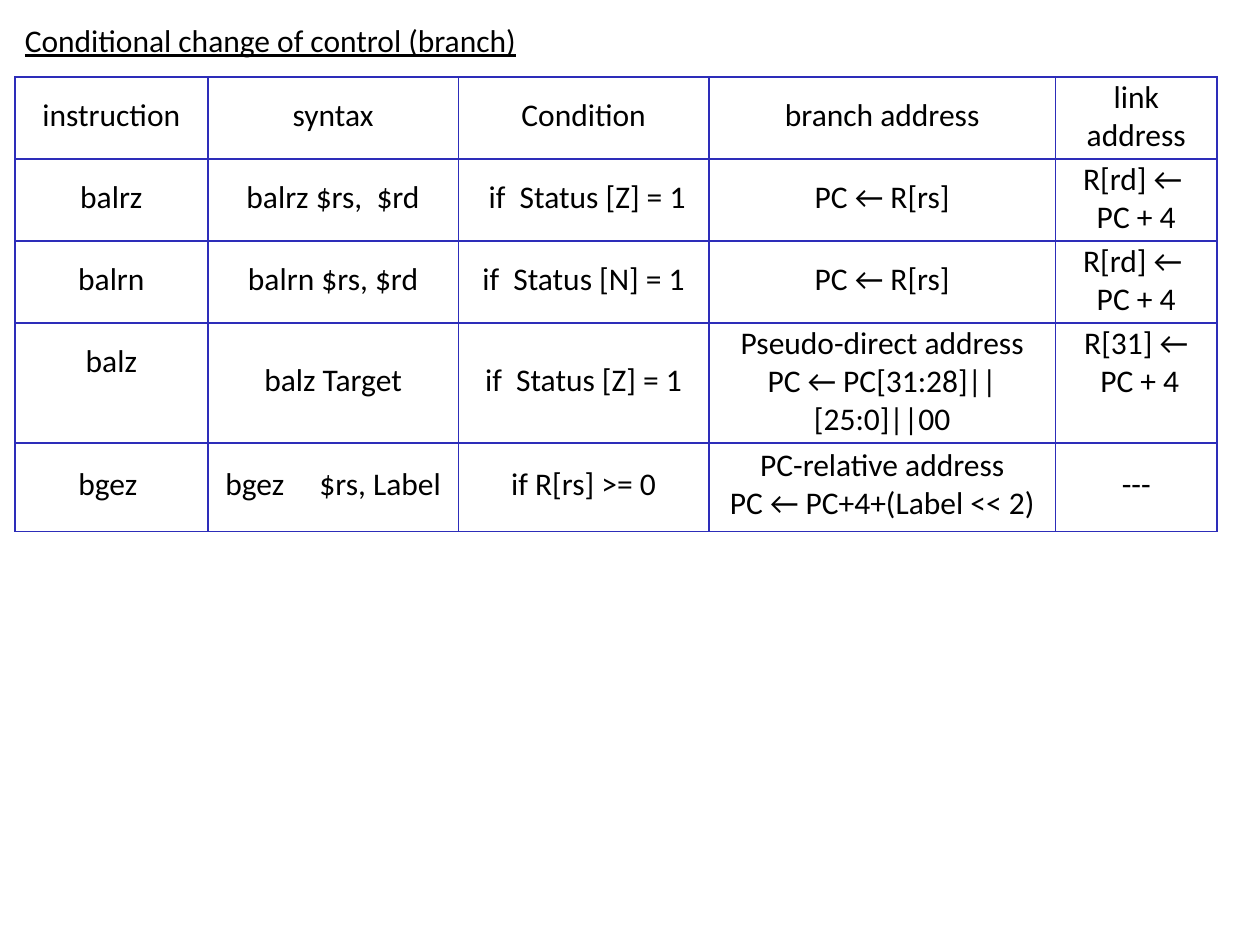
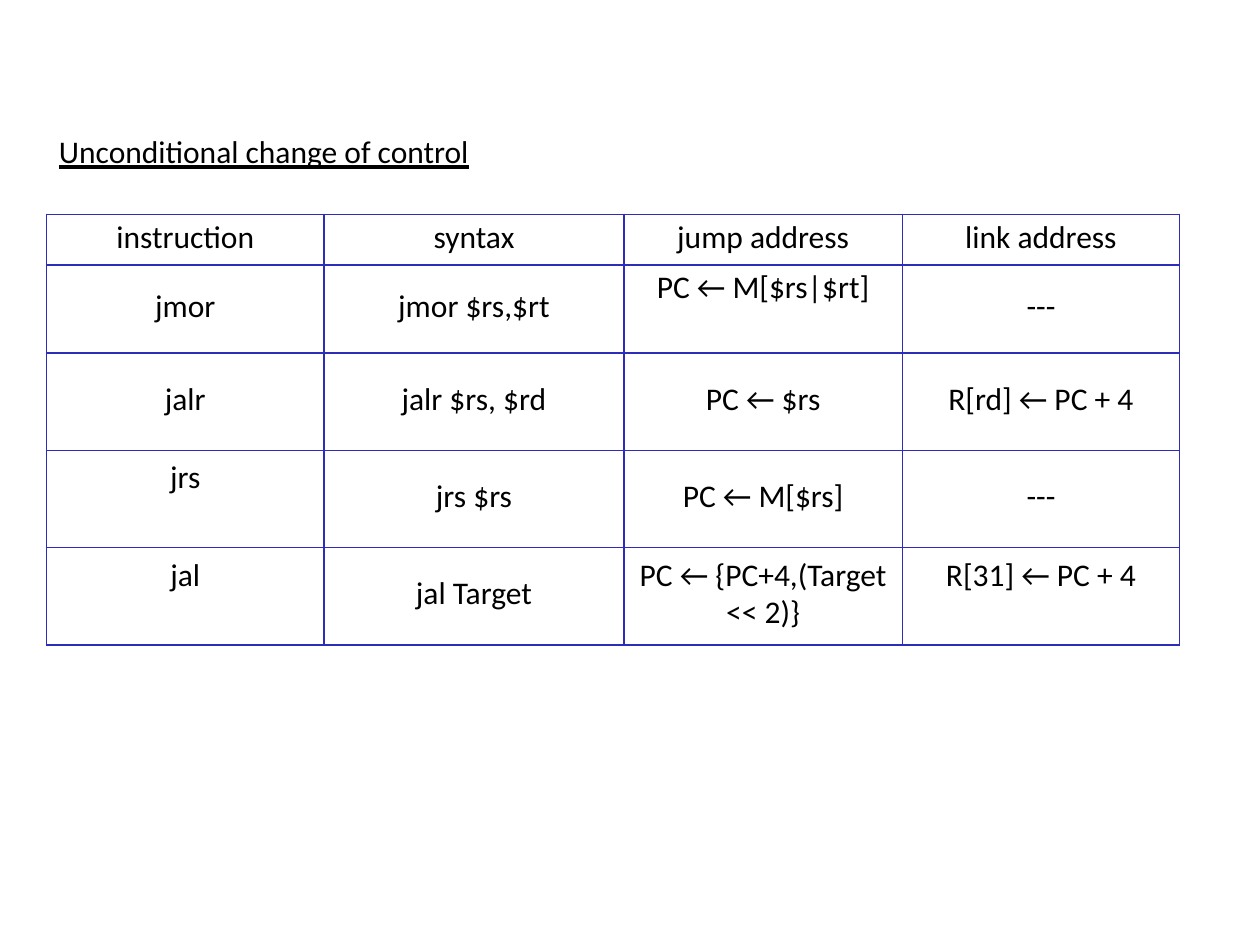
"""Build two slides that tabulate the branch and jump instructions."""
import dataclasses
import lxml.etree
import pptx
import pptx.dml.color
import pptx.enum.text
import pptx.oxml.ns
import pptx.util

Cm, Pt = pptx.util.Cm, pptx.util.Pt
qn = pptx.oxml.ns.qn


@dataclasses.dataclass(frozen=True)
class Theme:
    font: str = "Calibri"
    size: float = 18
    ink: str = "000000"
    rule: str = "2D2DB9"
    line: float = 1
    lead: float = 0.98
    gap: int = 1600
    side: float = 0.25
    top: float = 0.03
    foot: float = 0.13
    lift: float = 0.76


theme = Theme()
GAP = "~"

pages = [
    {
        "title": "Conditional change of control (branch)",
        "head": (0.25, 0.3),
        "grid": (0.3, 1.55),
        "cols": [3.89, 5.05, 5.05, 6.99, 3.25],
        "rows": [1.64, 1.64, 1.64, 2.38, 1.78],
        "lift": {(3, 0), (3, 4)},
        "cells": [
            ["instruction", "syntax", "Condition", "branch address", "link address"],
            ["balrz", "balrz $rs,  $rd", " if  Status [Z] = 1", "PC ← R[rs]",
             "R[rd] ← \nPC + 4"],
            ["balrn", "balrn $rs, $rd", "if  Status [N] = 1", "PC ← R[rs]",
             "R[rd] ← \nPC + 4"],
            ["balz", "balz Target", "if  Status [Z] = 1",
             ("Pseudo-direct address", "PC ← PC[31:28]||[25:0]||00"),
             "R[31] ←\n PC + 4"],
            ["bgez ", "bgez~$rs, Label", "if R[rs] >= 0",
             ("PC-relative address", "PC ← PC+4+(Label << 2)"), "---"],
        ],
    },
    {
        "title": "Unconditional change of control",
        "head": (0.94, 2.54),
        "grid": (0.94, 4.32),
        "cols": [5.59, 6.05, 5.61, 5.59],
        "rows": [1.02, 1.78, 1.96, 1.96, 1.96],
        "lift": {(1, 2), (3, 0), (4, 0), (4, 3)},
        "cells": [
            ["instruction", "syntax", "jump address", "link address"],
            ["jmor", "jmor $rs,$rt", "PC ← M[$rs|$rt]", "---"],
            ["jalr", "jalr $rs, $rd", "PC ← $rs", "R[rd] ← PC + 4"],
            ["jrs", "jrs $rs", "PC ← M[$rs]", "---"],
            ["jal", "jal Target", "PC ← {PC+4,(Target << 2)}", "R[31] ← PC + 4"],
        ],
    },
]


def add_run(para, text, under=None):
    run = para.add_run()
    run.text = text
    font = run.font
    font.name, font.size, font.underline = theme.font, Pt(theme.size), under
    font.color.rgb = pptx.dml.color.RGBColor.from_string(theme.ink)
    return run


def add_line(para, text):
    for i, part in enumerate(text.split(GAP)):
        if i:
            wide = add_run(para, " ")
            wide.font._element.set("spc", str(theme.gap))
        add_run(para, part)


def add_edges(cell):
    props = cell._tc.get_or_add_tcPr()
    for i, side in enumerate(("lnL", "lnR", "lnT", "lnB")):
        edge = lxml.etree.Element(qn("a:" + side), w=str(Pt(theme.line)))
        fill = lxml.etree.SubElement(edge, qn("a:solidFill"))
        lxml.etree.SubElement(fill, qn("a:srgbClr"), val=theme.rule)
        props.insert(i, edge)


def fill_cell(cell, text, lift):
    cell.fill.background()
    add_edges(cell)
    cell.vertical_anchor = pptx.enum.text.MSO_ANCHOR.MIDDLE
    cell.margin_left = cell.margin_right = Cm(theme.side)
    cell.margin_top = Cm(theme.top)
    cell.margin_bottom = Cm(theme.foot + (theme.lift if lift else 0))
    frame = cell.text_frame
    for i, body in enumerate((text,) if isinstance(text, str) else text):
        para = frame.add_paragraph() if i else frame.paragraphs[0]
        para.alignment = pptx.enum.text.PP_ALIGN.CENTER
        para.line_spacing = theme.lead
        for j, line in enumerate(body.split("\n")):
            if j:
                para.add_line_break()
            add_line(para, line)


def add_title(slide, text, spot):
    box = slide.shapes.add_textbox(*map(Cm, spot), Cm(12.7), Cm(1.03))
    box.text_frame.word_wrap = True
    add_run(box.text_frame.paragraphs[0], text, under=True)


def add_grid(slide, page):
    cols, rows = page["cols"], page["rows"]
    table = slide.shapes.add_table(
        len(rows), len(cols), *map(Cm, page["grid"]), Cm(sum(cols)), Cm(sum(rows))
    ).table
    table.first_row = table.horz_banding = False
    for col, width in zip(table.columns, cols):
        col.width = Cm(width)
    for r, (row, high) in enumerate(zip(table.rows, rows)):
        row.height = Cm(high)
        for c, text in enumerate(page["cells"][r]):
            fill_cell(table.cell(r, c), text, (r, c) in page["lift"])


deck = pptx.Presentation()
deck.slide_width, deck.slide_height = Cm(25.4), Cm(19.05)
for page in pages:
    slide = deck.slides.add_slide(deck.slide_layouts[6])
    add_title(slide, page["title"], page["head"])
    add_grid(slide, page)
deck.save("out.pptx")
